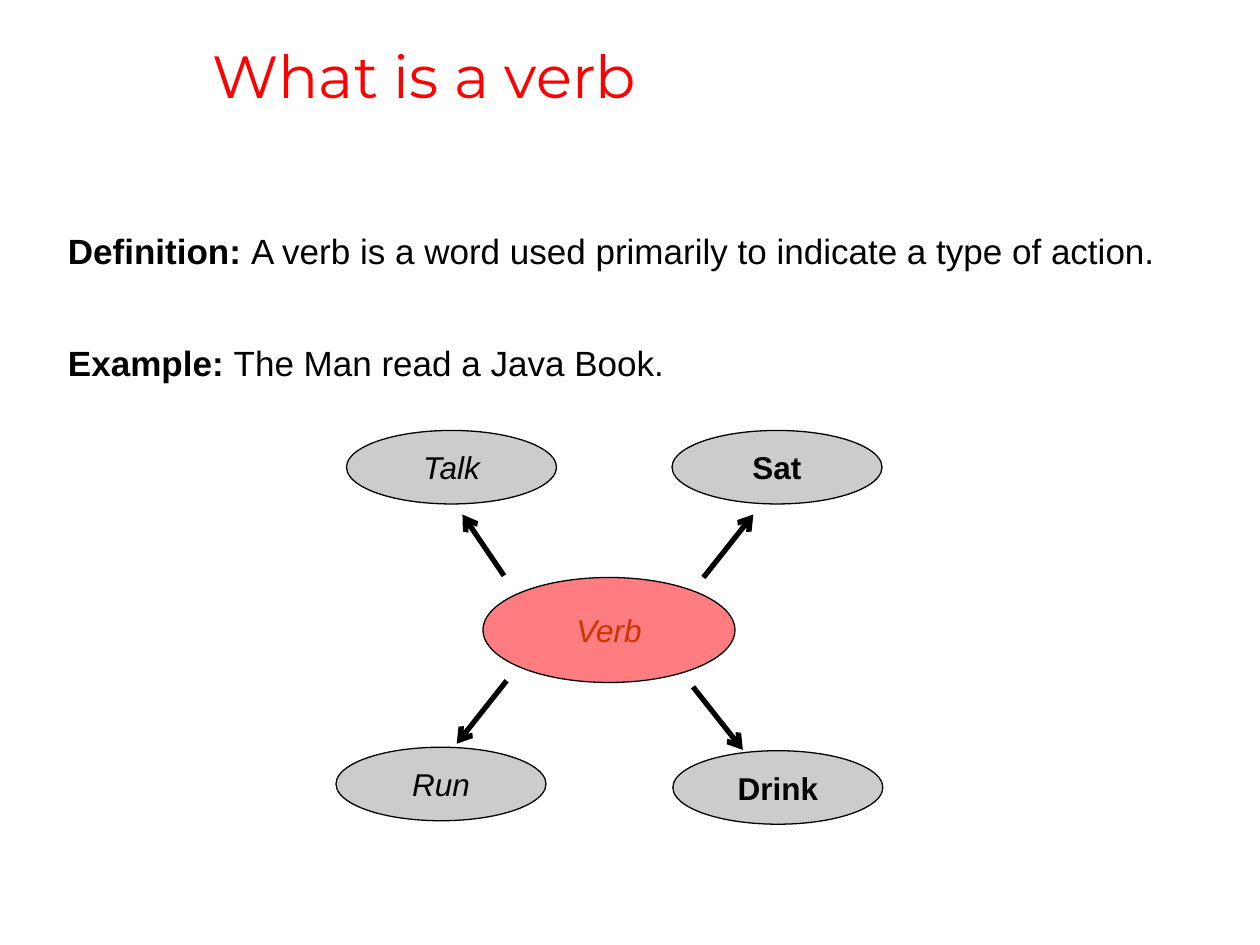
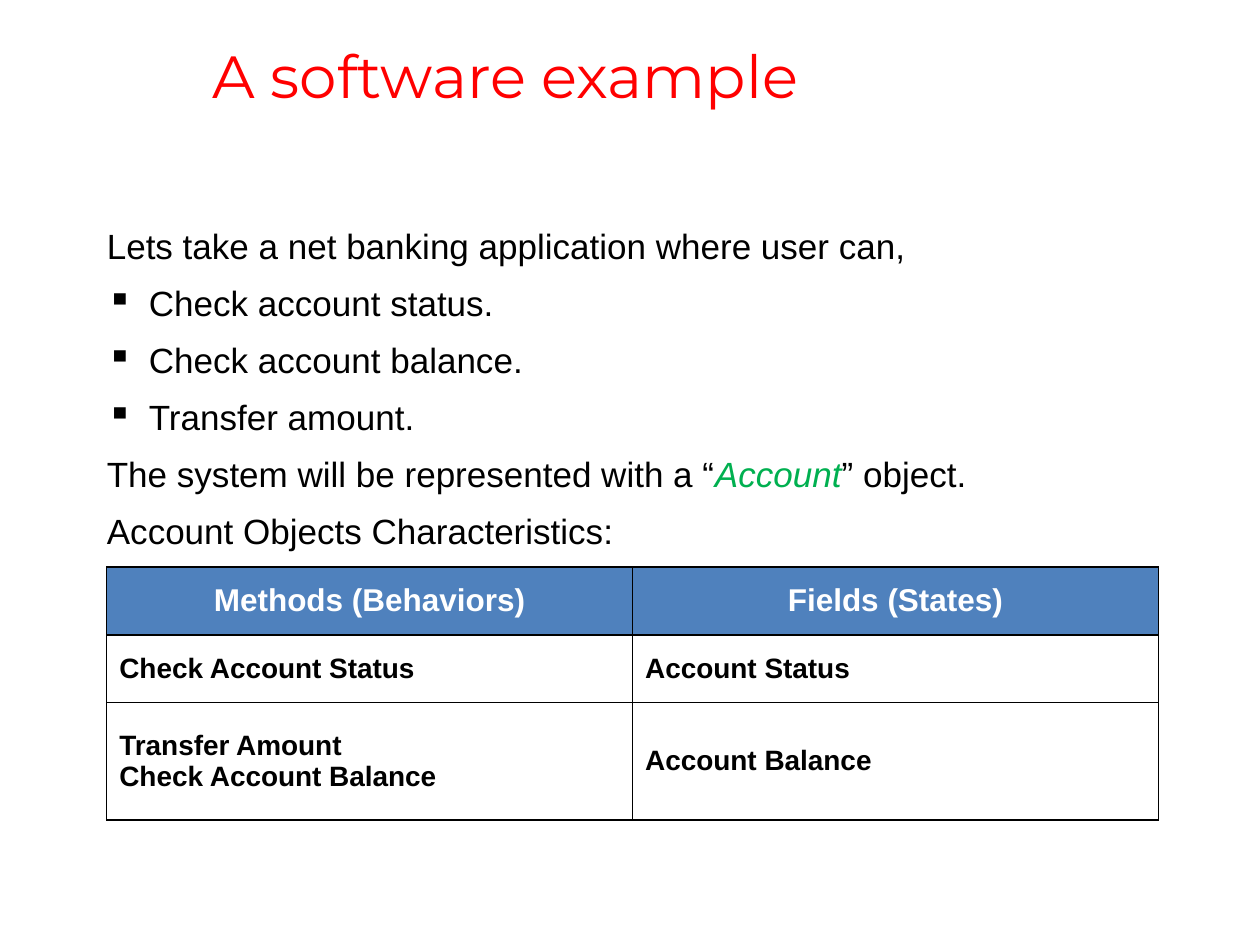
from dataclasses import dataclass

from lxml.etree import SubElement
from pptx import Presentation
from pptx.dml.color import RGBColor
from pptx.enum.shapes import MSO_CONNECTOR, MSO_SHAPE
from pptx.enum.text import MSO_ANCHOR, PP_ALIGN
from pptx.oxml.ns import qn
from pptx.util import Pt

# Content: a run is (text, style); styles are "", "bold", "italic" and "accent"
VERB_TITLE = "What is a verb"
VERB_LINES = [
    [("Definition: ", "bold"),
     ("A verb is a word used primarily to indicate a type of action.", "")],
    [("Example: ", "bold"), ("The Man read a Java Book.", "")],
]
HUB = ("Verb", 276, 330)
# word, style, left, top, arrow start, arrow tip
VERBS = [
    ("Talk", "italic", 198, 246, (288, 329), (264.25, 294)),
    ("Sat", "bold", 384, 246, (402, 330), (430.5, 294)),
    ("Run", "italic", 192, 427, (289.5, 389), (261, 425)),
    ("Drink", "bold", 384.5, 429, (396, 392.5), (424.5, 428.5)),
]

BANK_TITLE = "A software example"
BANK_INTRO = [[("Lets take a net banking application where user can,", "")]]
BANK_ACTIONS = ["Check account status.", "Check account balance.", "Transfer amount."]
BANK_SUMMARY = [
    [("The system will be represented with a “", ""), ("Account", "accent"),
     ("” object.", "")],
    [("Account Objects Characteristics:", "")],
]
ACCOUNT_TABLE = [
    ["Methods (Behaviors)", "Fields (States)"],
    ["Check Account Status", "Account Status"],
    ["Transfer Amount\nCheck Account Balance", "Account Balance"],
]
ROW_HEIGHTS = [38.75, 38.75, 67]
COLUMN_WIDTH = 300.5


@dataclass(frozen=True)
class Theme:
    title_font: str = "Montserrat"
    body_font: str = "Arial"
    title_size: float = 34
    body_size: float = 20
    label_size: float = 18
    cell_size: float = 16
    title_color: str = "FF0000"
    ink: str = "000000"
    accent: str = "00B050"
    hub_fill: str = "FF7C80"
    hub_ink: str = "CC3300"
    verb_fill: str = "CCCCCC"
    header_fill: str = "4F81BD"
    header_ink: str = "FFFFFF"
    title_spacing: float = 0.9
    body_spacing: float = 0.94


THEME = Theme()


def color(value):
    return RGBColor.from_string(value)


def set_font(paragraph, size, ink=THEME.ink, name=THEME.body_font, style=None):
    font = paragraph.font
    font.name, font.size = name, Pt(size)
    font.color.rgb = color(ink)
    if style is not None:
        font.bold, font.italic = style == "bold", style == "italic"


def add_text_box(slide, left, top, width, height):
    frame = slide.shapes.add_textbox(Pt(left), Pt(top), Pt(width), Pt(height)).text_frame
    frame.word_wrap = True
    return frame


def add_slide(presentation, title):
    """Add a blank slide carrying the shared title style."""
    slide = presentation.slides.add_slide(presentation.slide_layouts[6])
    frame = add_text_box(slide, 114.5, 1, 605.5, 89)
    frame.vertical_anchor = MSO_ANCHOR.MIDDLE
    paragraph = frame.paragraphs[0]
    paragraph.text = title
    paragraph.line_spacing = THEME.title_spacing
    set_font(paragraph, THEME.title_size, THEME.title_color, THEME.title_font)
    return slide


def add_body_line(frame, runs, space_before=10, left=0, bullet=None):
    paragraph = frame.paragraphs[0]
    if paragraph.runs:
        paragraph = frame.add_paragraph()
        paragraph.space_before = Pt(space_before)
    paragraph.line_spacing = THEME.body_spacing
    properties = paragraph._p.get_or_add_pPr()
    hanging = 24 if bullet else 0
    properties.set("marL", str(Pt(left + hanging)))
    properties.set("indent", str(Pt(-hanging)))
    if bullet:
        SubElement(properties, qn("a:buChar"), char=bullet)
    set_font(paragraph, THEME.body_size)
    for text, style in runs:
        run = paragraph.add_run()
        run.text = text
        if style == "bold":
            run.font.bold = True
        elif style == "accent":
            run.font.italic = True
            run.font.color.rgb = color(THEME.accent)


def add_ellipse(slide, text, left, top, width, height, fill, ink, style):
    shape = slide.shapes.add_shape(MSO_SHAPE.OVAL, Pt(left), Pt(top), Pt(width), Pt(height))
    shape.shadow.inherit = False
    shape.fill.solid()
    shape.fill.fore_color.rgb = color(fill)
    shape.line.color.rgb = color(THEME.ink)
    shape.line.width = Pt(0.75)
    shape.text_frame.vertical_anchor = MSO_ANCHOR.MIDDLE
    paragraph = shape.text_frame.paragraphs[0]
    paragraph.text = text
    paragraph.alignment = PP_ALIGN.CENTER
    set_font(paragraph, THEME.label_size, ink, style=style)


def add_arrow(slide, start, tip):
    points = [Pt(value) for value in (*start, *tip)]
    connector = slide.shapes.add_connector(MSO_CONNECTOR.STRAIGHT, *points)
    connector.line.color.rgb = color(THEME.ink)
    connector.line.width = Pt(3)
    SubElement(connector.line._get_or_add_ln(), qn("a:tailEnd"), type="arrow")
    SubElement(connector._element.spPr, qn("a:effectLst"))


def add_cell_borders(cell):
    properties = cell._tc.get_or_add_tcPr()
    for side in ("lnL", "lnR", "lnT", "lnB"):
        line = SubElement(properties, qn(f"a:{side}"), w=str(Pt(1)))
        fill = SubElement(line, qn("a:solidFill"))
        SubElement(fill, qn("a:srgbClr"), val=THEME.ink)


def style_cell(cell, text, is_header):
    add_cell_borders(cell)
    if is_header:
        cell.fill.solid()
        cell.fill.fore_color.rgb = color(THEME.header_fill)
    else:
        cell.fill.background()
    cell.vertical_anchor = MSO_ANCHOR.MIDDLE
    cell.text = text
    for paragraph in cell.text_frame.paragraphs:
        if is_header:
            paragraph.alignment = PP_ALIGN.CENTER
            set_font(paragraph, THEME.label_size, THEME.header_ink, style="bold")
        else:
            set_font(paragraph, THEME.cell_size, style="bold")


def build_verb_slide(presentation):
    slide = add_slide(presentation, VERB_TITLE)
    frame = add_text_box(slide, 31.75, 129.5, 652.5, 345.5)
    for runs in VERB_LINES:
        add_body_line(frame, runs, space_before=41.75)

    # Verb map: hub, arrows and surrounding words
    text, left, top = HUB
    add_ellipse(slide, text, left, top, 144, 60, THEME.hub_fill, THEME.hub_ink, "italic")
    for word, style, left, top, start, tip in VERBS:
        add_arrow(slide, start, tip)
        add_ellipse(slide, word, left, top, 120, 42, THEME.verb_fill, THEME.ink, style)


def build_bank_slide(presentation):
    slide = add_slide(presentation, BANK_TITLE)
    frame = add_text_box(slide, 18, 126.75, 684, 389.5)
    for runs in BANK_INTRO:
        add_body_line(frame, runs, left=36)
    for action in BANK_ACTIONS:
        add_body_line(frame, [(action, "")], left=36, bullet="▪")
    for runs in BANK_SUMMARY:
        add_body_line(frame, runs, left=36)

    # Table of methods and fields
    columns = len(ACCOUNT_TABLE[0])
    table = slide.shapes.add_table(
        len(ACCOUNT_TABLE), columns, Pt(61), Pt(324),
        Pt(COLUMN_WIDTH * columns), Pt(sum(ROW_HEIGHTS))).table
    for column in table.columns:
        column.width = Pt(COLUMN_WIDTH)
    for row_index, texts in enumerate(ACCOUNT_TABLE):
        table.rows[row_index].height = Pt(ROW_HEIGHTS[row_index])
        for column_index, text in enumerate(texts):
            style_cell(table.cell(row_index, column_index), text, row_index == 0)


def main():
    presentation = Presentation()
    presentation.slide_width, presentation.slide_height = Pt(720), Pt(540)
    build_verb_slide(presentation)
    build_bank_slide(presentation)
    presentation.save("out.pptx")


if __name__ == "__main__":
    main()
